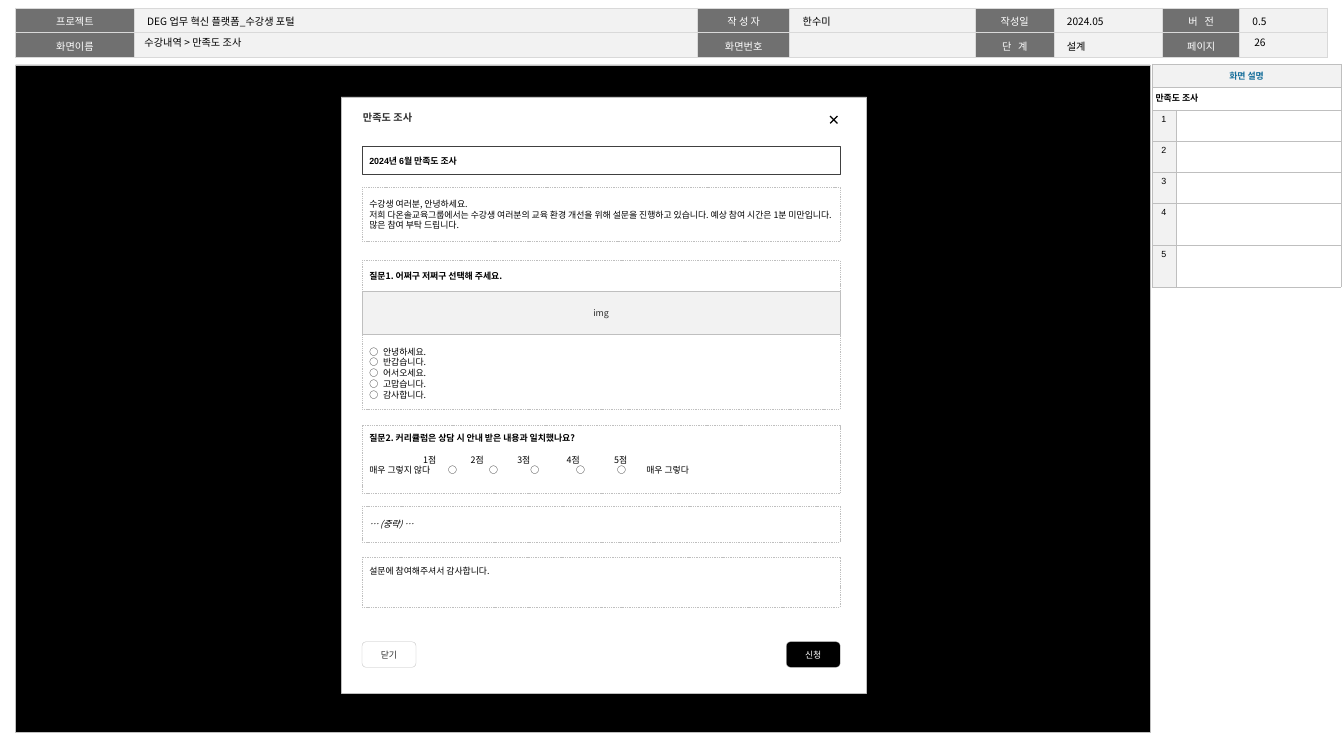
from dataclasses import dataclass

from lxml import etree
from pptx import Presentation
from pptx import util as u
from pptx.dml.color import RGBColor
from pptx.enum import dml, shapes, text
from pptx.oxml import ns


@dataclass(frozen=True)
class Theme:
    sans: str = "Noto Sans CJK KR"
    latin: str = "Arial"
    black: str = "000000"
    white: str = "FFFFFF"
    ink: str = "2E2E2E"
    label: str = "707070"
    pale: str = "F2F2F2"
    rule: str = "BFBFBF"
    header_rule: str = "D9D9D9"
    frame: str = "404040"
    accent: str = "176F9B"
    large: float = 8
    small: float = 7
    leading: float = 8.5
    hairline: float = 0.25


@dataclass(frozen=True)
class Box:
    left: float
    top: float
    width: float
    height: float

    def inner(self, left, top, width, height):
        return Box(self.left + left, self.top + top, width, height)

    def lengths(self):
        return [u.Inches(n) for n in (self.left, self.top, self.width, self.height)]


THEME = Theme()
CENTER = text.PP_ALIGN.CENTER
TOP, MIDDLE = text.MSO_ANCHOR.TOP, text.MSO_ANCHOR.MIDDLE
FIELD_INSETS = (0.08, 0.04, 0.08, 0.04)


def color(value):
    return RGBColor.from_string(value)


def add_child(parent, tag, **attributes):
    return etree.SubElement(parent, ns.qn(tag), **attributes)


def write(frame, words, size=THEME.small, font=THEME.sans, ink=THEME.black, bold=False,
          italic=False, align=None, leading=None, before=0, tabs=(), tracking=0):
    para = frame.paragraphs[0]
    if para.runs:
        para = frame.add_paragraph()
    para.alignment = align
    para.line_spacing = leading
    if before:
        para.space_before = u.Pt(before)
    if tabs:
        stops = add_child(para._p.get_or_add_pPr(), "a:tabLst")
        for position, kind in tabs:
            add_child(stops, "a:tab", pos=str(u.Inches(position)), algn=kind)
    if not words:
        add_child(para._p, "a:endParaRPr", sz=str(int(size * 100)))
        return
    span = para.add_run()
    span.text = words
    span.font.size = u.Pt(size)
    span.font.bold = bold
    span.font.italic = italic
    span.font.color.rgb = color(ink)
    span.font.name = font
    properties = span.font._element
    add_child(properties, "a:ea", typeface=THEME.sans)
    if tracking:
        properties.set("spc", str(tracking))


def prepare(frame, insets, anchor):
    frame.word_wrap = True
    frame.vertical_anchor = anchor
    (frame.margin_left, frame.margin_top,
     frame.margin_right, frame.margin_bottom) = [u.Inches(n) for n in insets]
    return frame


def add_panel(page, box, fill=THEME.white, line=THEME.rule, weight=THEME.hairline, dashed=False,
              rounded=False, insets=FIELD_INSETS, anchor=MIDDLE):
    preset = shapes.MSO_SHAPE.ROUNDED_RECTANGLE if rounded else shapes.MSO_SHAPE.RECTANGLE
    panel = page.shapes.add_shape(preset, *box.lengths())
    panel.shadow.inherit = False
    panel.fill.solid()
    panel.fill.fore_color.rgb = color(fill)
    panel.line.color.rgb = color(line)
    panel.line.width = u.Pt(weight)
    if dashed:
        panel.line.dash_style = dml.MSO_LINE.DASH
    frame = prepare(panel.text_frame, insets, anchor)
    frame.paragraphs[0].alignment = text.PP_ALIGN.LEFT
    return frame


def add_label(page, box, words, insets):
    label = page.shapes.add_textbox(*box.lengths())
    write(prepare(label.text_frame, insets, MIDDLE), words, size=THEME.large)


def add_grid(page, box, widths, heights):
    grid = page.shapes.add_table(len(heights), len(widths), *box.lengths()).table
    grid.first_row = grid.horz_banding = False
    for column, width in zip(grid.columns, widths):
        column.width = u.Inches(width)
    for row, height in zip(grid.rows, heights):
        row.height = u.Inches(height)
    return grid


def fill_cell(cell, words, fill, line, weight, insets, anchor=TOP, **style):
    cell.vertical_anchor = anchor
    (cell.margin_left, cell.margin_top,
     cell.margin_right, cell.margin_bottom) = [u.Inches(n) for n in insets]
    properties = cell._tc.get_or_add_tcPr()
    for side in ("a:lnL", "a:lnR", "a:lnT", "a:lnB"):
        border = add_child(properties, side, w=str(u.Pt(weight)))
        add_child(add_child(border, "a:solidFill"), "a:srgbClr", val=line)
    cell.fill.solid()
    cell.fill.fore_color.rgb = color(fill)
    write(cell.text_frame, words, **style)


def add_header(page, box):
    rows = [
        ["프로젝트", "DEG 업무 혁신 플랫폼_수강생 포털", "작 성 자", "한수미",
         "작성일", "2024.05", "버 전", "0.5"],
        ["화면이름", "", "화면번호", "", "단 계", "설계", "페이지", ""],
    ]
    widths = [1.3, 6.16, 1.01, 2.03, 0.86, 1.19, 0.84, 0.96]
    grid = add_grid(page, box, widths, [box.height / 2] * 2)
    for r, row in enumerate(rows):
        for c, words in enumerate(row):
            heading = c % 2 == 0
            fill_cell(grid.cell(r, c), words, THEME.label if heading else THEME.pale,
                      THEME.header_rule, 1, (0.14, 0.05, 0.14, 0.05), size=THEME.large,
                      ink=THEME.white if heading else THEME.black,
                      align=CENTER if heading else None, leading=1.05,
                      tracking=180 if words in ("버 전", "단 계") else 0)
    add_label(page, box.inner(1.3, 0.29, 5.91, 0.16), "수강내역 > 만족도 조사",
              (0.11, 0.05, 0.11, 0.05))
    add_label(page, box.inner(13.45, 0.29, 0.72, 0.16), "26", (0.1, 0.05, 0.1, 0.05))


def add_description(page, box):
    grid = add_grid(page, box, [0.26, 1.81], [0.25] * 2 + [0.34] * 3 + [0.46] * 2)
    common = dict(line=THEME.rule, weight=THEME.hairline, insets=(0.04, 0.05, 0.04, 0.05))
    for r in range(2):
        grid.cell(r, 0).merge(grid.cell(r, 1))
    fill_cell(grid.cell(0, 0), "화면 설명", THEME.pale, anchor=MIDDLE, align=CENTER,
              ink=THEME.accent, bold=True, **common)
    fill_cell(grid.cell(1, 0), "만족도 조사", THEME.white, font=THEME.latin, bold=True, **common)
    for number in range(1, 6):
        fill_cell(grid.cell(number + 1, 0), str(number), THEME.pale, align=CENTER,
                  font=THEME.latin, **common)
        fill_cell(grid.cell(number + 1, 1), "", THEME.white, **common)


def add_close_icon(page, box):
    left, top, width, height = box.lengths()
    for start, end in ((top, top + height), (top + height, top)):
        stroke = page.shapes.add_connector(shapes.MSO_CONNECTOR.STRAIGHT,
                                           left, start, left + width, end)
        stroke.line.color.rgb = color(THEME.black)
        stroke.line.width = u.Pt(1)
        add_child(stroke._element.spPr, "a:effectLst")


def add_survey(page, box):
    title = add_panel(page, box, weight=0.5, insets=(0.24, 0.16, 0.16, 0.05), anchor=TOP)
    write(title, "만족도 조사", size=THEME.large, ink=THEME.ink, bold=True)
    add_close_icon(page, box.inner(5.35, 0.21, 0.08, 0.08))

    def field(top, height, inset=None, **style):
        insets = FIELD_INSETS if inset is None else (0.08, inset, 0.08, 0.04)
        return add_panel(page, box.inner(0.23, top, 5.23, height), insets=insets,
                         anchor=MIDDLE if inset is None else TOP, **style)

    leading = u.Pt(THEME.leading)
    write(field(0.54, 0.31, line=THEME.frame), "2024년 6월 만족도 조사",
          font=THEME.latin, bold=True)

    greeting = field(0.99, 0.59, dashed=True)
    for words in ("수강생 여러분, 안녕하세요.",
                  "저희 다온솔교육그룹에서는 수강생 여러분의 교육 환경 개선을 위해 설문을 진행하고 "
                  "있습니다. 예상 참여 시간은 1분 미만입니다. 많은 참여 부탁 드립니다."):
        write(greeting, words, leading=leading)

    choice = field(1.79, 1.63, inset=0.11, dashed=True)
    write(choice, "질문1. 어쩌구 저쩌구 선택해 주세요.", bold=True, leading=leading)
    options = ["안녕하세요.", "반갑습니다.", "어서오세요.", "고맙습니다.", "감사합니다."]
    for index, option in enumerate(options):
        write(choice, f"○\t{option}", leading=leading, tabs=[(0.15, "l")],
              before=0 if index else 6 * THEME.leading)
    write(field(2.13, 0.47, fill=THEME.pale), "img", ink=THEME.ink, align=CENTER)

    rating = field(3.59, 0.75, inset=0.08, dashed=True)
    write(rating, "질문2. 커리큘럼은 상담 시 안내 받은 내용과 일치했나요?",
          bold=True, leading=leading)
    write(rating, "".join(f"\t{score}점" for score in range(1, 6)), leading=leading,
          before=THEME.leading, tabs=[(x, "ctr") for x in (0.66, 1.18, 1.69, 2.23, 2.75)])
    write(rating, "매우 그렇지 않다" + "\t○" * 5 + "\t매우 그렇다", leading=leading,
          tabs=[(x, "ctr") for x in (0.91, 1.36, 1.81, 2.31, 2.76)] + [(3.03, "l")])

    write(field(4.48, 0.39, dashed=True), "… (중략) …", italic=True)
    write(field(5.03, 0.55, inset=0.1, dashed=True), "설문에 참여해주셔서 감사합니다.",
          leading=leading)

    for left, words, fill, ink in ((0.23, "닫기", THEME.white, THEME.ink),
                                   (4.87, "신청", THEME.black, THEME.white)):
        button = add_panel(page, box.inner(left, 5.96, 0.59, 0.28), fill=fill, rounded=True,
                           insets=(0.04, 0, 0.04, 0))
        write(button, words, font=THEME.latin, ink=ink, align=CENTER)


def main():
    deck = Presentation()
    deck.slide_width, deck.slide_height = u.Inches(14.7), u.Inches(8.27)
    page = deck.slides.add_slide(deck.slide_layouts[6])
    add_header(page, Box(0.17, 0.09, 14.34, 0.49))
    add_panel(page, Box(0.17, 0.71, 12.41, 7.3), fill=THEME.black, weight=0.5)
    add_survey(page, Box(3.73, 1.06, 5.75, 6.52))
    add_description(page, Box(12.6, 0.7, 2.08, 2.44))
    deck.save("out.pptx")


if __name__ == "__main__":
    main()
